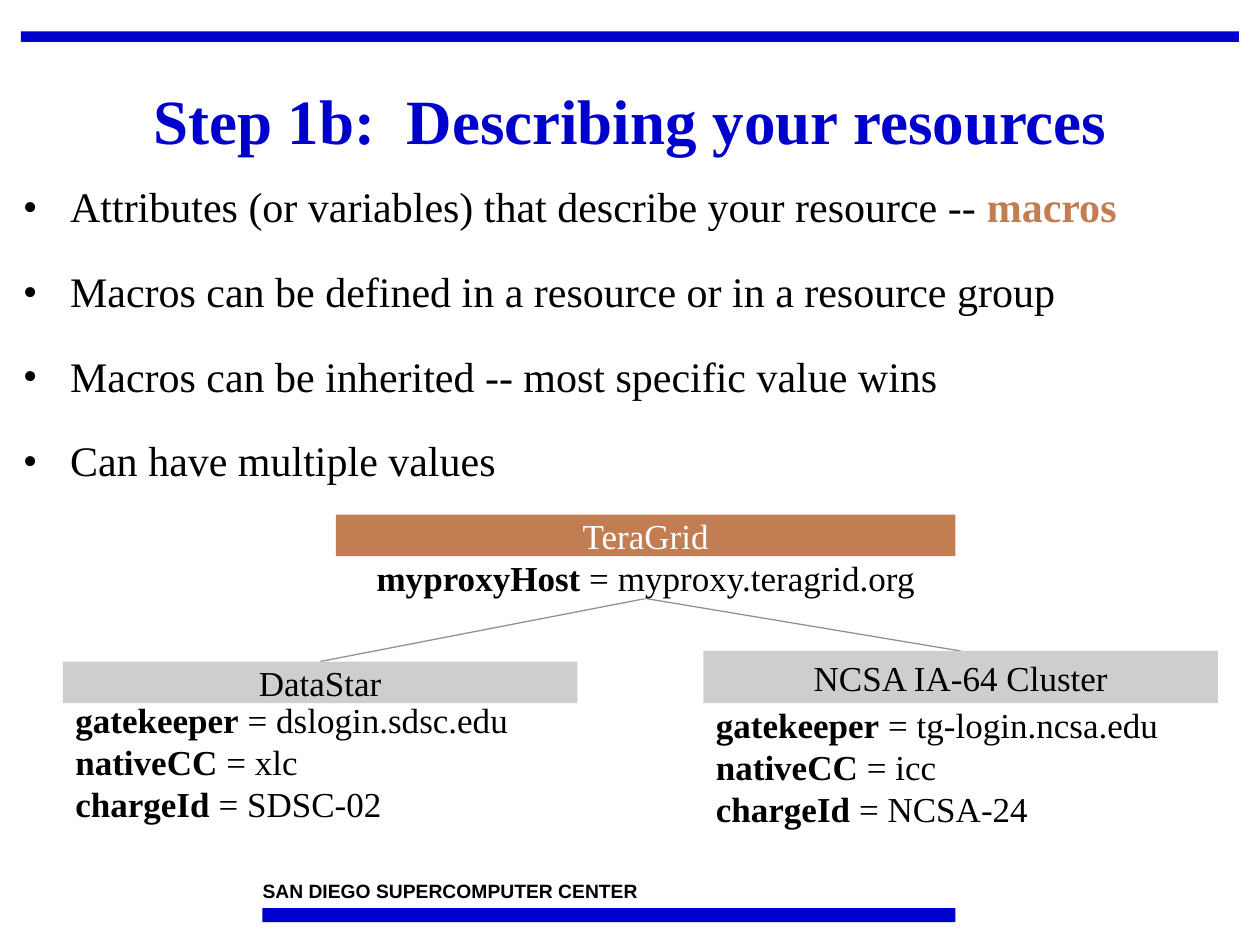
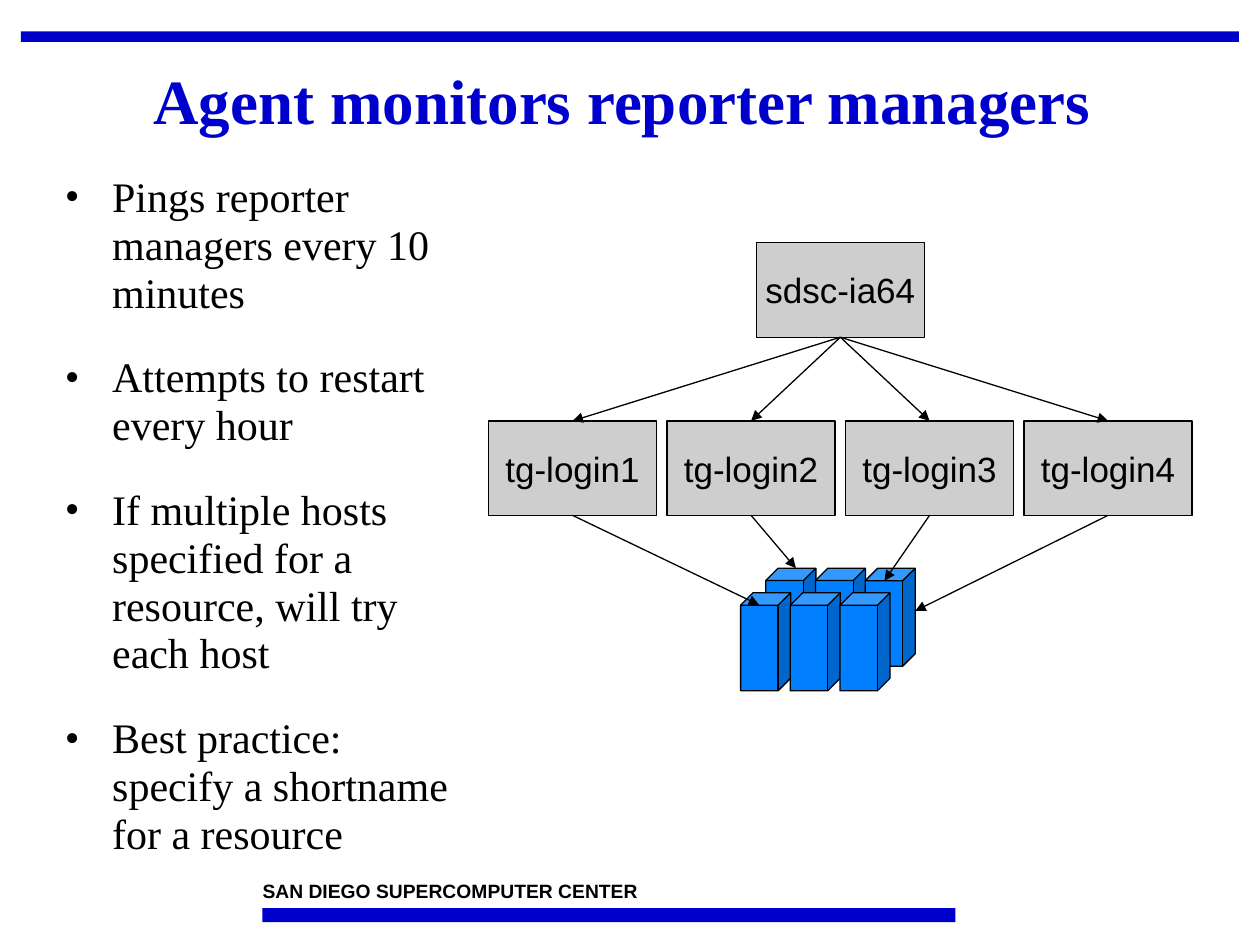
from pptx import Presentation
from pptx.dml.color import RGBColor
from pptx.enum import shapes, text
from pptx.oxml.ns import qn
from pptx.util import Pt
from lxml import etree

COLORS = {
    "blue": "0000CC",
    "copper": "C27D52",
    "gray": "CECECE",
    "branch": "919191",
    "node": "0080FF",
    "black": "000000",
    "white": "FFFFFF",
}
SERIF, SANS = "Times New Roman", "Arial"
CENTER, LEFT = text.PP_ALIGN.CENTER, text.PP_ALIGN.LEFT
RECT, CUBE = shapes.MSO_SHAPE.RECTANGLE, shapes.MSO_SHAPE.CUBE


def rgb(name):
    return RGBColor.from_string(COLORS[name])


def add_runs(p, runs, size, font, color="black"):
    for words, bold, *own in runs:
        r = p.add_run()
        r.text = words
        r.font.size = Pt(size)
        r.font.name = font
        r.font.bold = bold
        r.font.color.rgb = rgb(own[0] if own else color)


def add_text(s, box, paragraphs, size, font, color="black", align=LEFT,
             anchor=text.MSO_ANCHOR.TOP, margins=(7.2, 3.6), spacing=None):
    tf = s.shapes.add_textbox(*map(Pt, box)).text_frame
    tf.word_wrap = True
    tf.vertical_anchor = anchor
    tf.margin_left = tf.margin_right = Pt(margins[0])
    tf.margin_top = tf.margin_bottom = Pt(margins[1])
    for i, runs in enumerate(paragraphs):
        p = tf.add_paragraph() if i else tf.paragraphs[0]
        p.alignment = align
        p.line_spacing = spacing
        add_runs(p, runs, size, font, color)
    return tf


def add_shape(s, kind, box, fill, line=None):
    sp = s.shapes.add_shape(kind, *map(Pt, box))
    sp.shadow.inherit = False
    sp.fill.solid()
    sp.fill.fore_color.rgb = rgb(fill)
    if line:
        sp.line.color.rgb = rgb(line)
        sp.line.width = Pt(0.75)
    else:
        sp.line.fill.background()
    return sp


def add_label(s, box, paragraphs, fill, color="black", font=SERIF, align=CENTER, line=None):
    sp = add_shape(s, RECT, box, fill, line)
    tf = sp.text_frame
    tf.word_wrap = False
    tf.vertical_anchor = text.MSO_ANCHOR.MIDDLE
    for i, runs in enumerate(paragraphs):
        p = tf.add_paragraph() if i else tf.paragraphs[0]
        p.alignment = align
        add_runs(p, runs, 20, font, color)
    return sp


def add_line(s, start, end, color, arrow=False):
    c = s.shapes.add_connector(shapes.MSO_CONNECTOR.STRAIGHT, *map(Pt, start + end))
    c.line.color.rgb = rgb(color)
    c.line.width = Pt(0.75)
    if arrow:
        etree.SubElement(c.line._get_or_add_ln(), qn("a:tailEnd"), type="triangle")
    etree.SubElement(c._element.spPr, qn("a:effectLst"))


def add_frame(prs, title, title_top):
    s = prs.slides.add_slide(prs.slide_layouts[6])
    add_shape(s, RECT, (12, 18, 696, 6), "blue")
    add_shape(s, RECT, (150, 519, 396, 8), "blue")
    add_text(s, (150, 502.5, 270, 13), [[("SAN DIEGO SUPERCOMPUTER CENTER", True)]],
             11, SANS, margins=(0, 0))
    add_text(s, (30, title_top, 660, 82), [[(title, True)]], 36, SERIF, "blue",
             CENTER, text.MSO_ANCHOR.MIDDLE, spacing=0.9)
    return s


def add_bullets(s, box, items):
    tf = add_text(s, box, items, 24, SERIF, spacing=0.95)
    for i, p in enumerate(tf.paragraphs):
        p.space_before = Pt(6 if i else 0)
        p.space_after = Pt(15)
        pPr = p._p.get_or_add_pPr()
        pPr.set("marL", str(Pt(27)))
        pPr.set("indent", str(-Pt(27)))
        etree.SubElement(pPr, qn("a:buFont"), typeface=SERIF)
        etree.SubElement(pPr, qn("a:buChar"), char="•")


def add_resource(s, box, header, name, macros, fill, color="black", align=LEFT):
    x, y, w, h = box
    add_label(s, (x, y, w, header), [[(name, False)]], fill, color)
    lines = [[(key, True), (f" = {value}", False)] for key, value in macros]
    add_label(s, (x, y + header, w, h - header), lines, "white", align=align)


def add_resource_tree(s, box):
    x, y, w, h = box
    child_w = 294
    left, right = x, x + w - child_w
    fork = (x + 333, y + 48)
    add_line(s, fork, (right + child_w / 2, y + 78), "branch")
    add_line(s, fork, (left + child_w / 2, y + 84), "branch")
    add_resource(s, (x + 156, y, 354, 48), 24, "TeraGrid",
                 [("myproxyHost", "myproxy.teragrid.org")], "copper", "white", CENTER)
    add_resource(s, (left, y + 84, child_w, 90), 24, "DataStar",
                 [("gatekeeper", "dslogin.sdsc.edu"), ("nativeCC", "xlc"),
                  ("chargeId", "SDSC-02")], "gray")
    add_resource(s, (right, y + 78, child_w, h - 78), 30, "NCSA IA-64 Cluster",
                 [("gatekeeper", "tg-login.ncsa.edu"), ("nativeCC", "icc"),
                  ("chargeId", "NCSA-24")], "gray")


def add_cluster(s, x, y):
    w, h, columns = 28.6, 56, 3
    for i in range(columns):
        left = x + i * 28.4
        back_h = h if i == columns - 1 else h / 2
        for dx, dy, height in ((14.4, 0, back_h), (0, 14, h)):
            sp = add_shape(s, CUBE, (left + dx, y + dy, w, height), "node", "black")
            sp.adjustments[0] = 0.25


def add_host_tree(s, box):
    x, y, w, h = box
    host_w, host_h, count = 96, 54, 4
    row = y + 101.8
    pitch = (w - host_w) / (count - 1)
    root = (x + w / 2, y + host_h)
    add_label(s, (root[0] - host_w / 2, y, host_w, host_h), [[("sdsc-ia64", False)]],
              "gray", font=SANS, line="black")
    for i in range(count):
        add_label(s, (x + i * pitch, row, host_w, host_h), [[(f"tg-login{i + 1}", False)]],
                  "gray", font=SANS, line="black")
    cx, cy = x + 144, y + h - 70
    add_cluster(s, cx, cy)
    entries = [(10.6, 21), (31.6, 0), (82.2, 7.2), (99.8, 24.4)]
    centers = [x + i * pitch + host_w / 2 for i in range(count)]
    for center in centers:
        add_line(s, root, (center, row), "black", True)
    for center, (dx, dy) in zip(centers, entries):
        add_line(s, (center, row + host_h), (cx + dx, cy + dy), "black", True)


def build_resources(prs):
    s = add_frame(prs, "Step 1b:  Describing your resources", 30)
    add_bullets(s, (6, 102, 678, 374), [
        [("Attributes (or variables) that describe your resource -- ", False),
         ("macros", True, "copper")],
        [("Macros can be defined in a resource or in a resource group", False)],
        [("Macros can be inherited -- most specific value wins", False)],
        [("Can have multiple values", False)],
    ])
    add_resource_tree(s, (36, 294, 660, 180))


def build_agent(prs):
    s = add_frame(prs, "Agent monitors reporter managers ", 18.7)
    add_bullets(s, (30, 96, 245.5, 415), [
        [("Pings reporter managers every 10 minutes", False)],
        [("Attempts to restart every hour", False)],
        [("If multiple hosts specified for a resource, will try each host", False)],
        [("Best practice: specify a shortname for a resource", False)],
    ])
    add_host_tree(s, (279.2, 138.7, 402, 256))


def main():
    prs = Presentation()
    prs.slide_width, prs.slide_height = Pt(720), Pt(540)
    build_resources(prs)
    build_agent(prs)
    prs.save("out.pptx")


if __name__ == "__main__":
    main()
